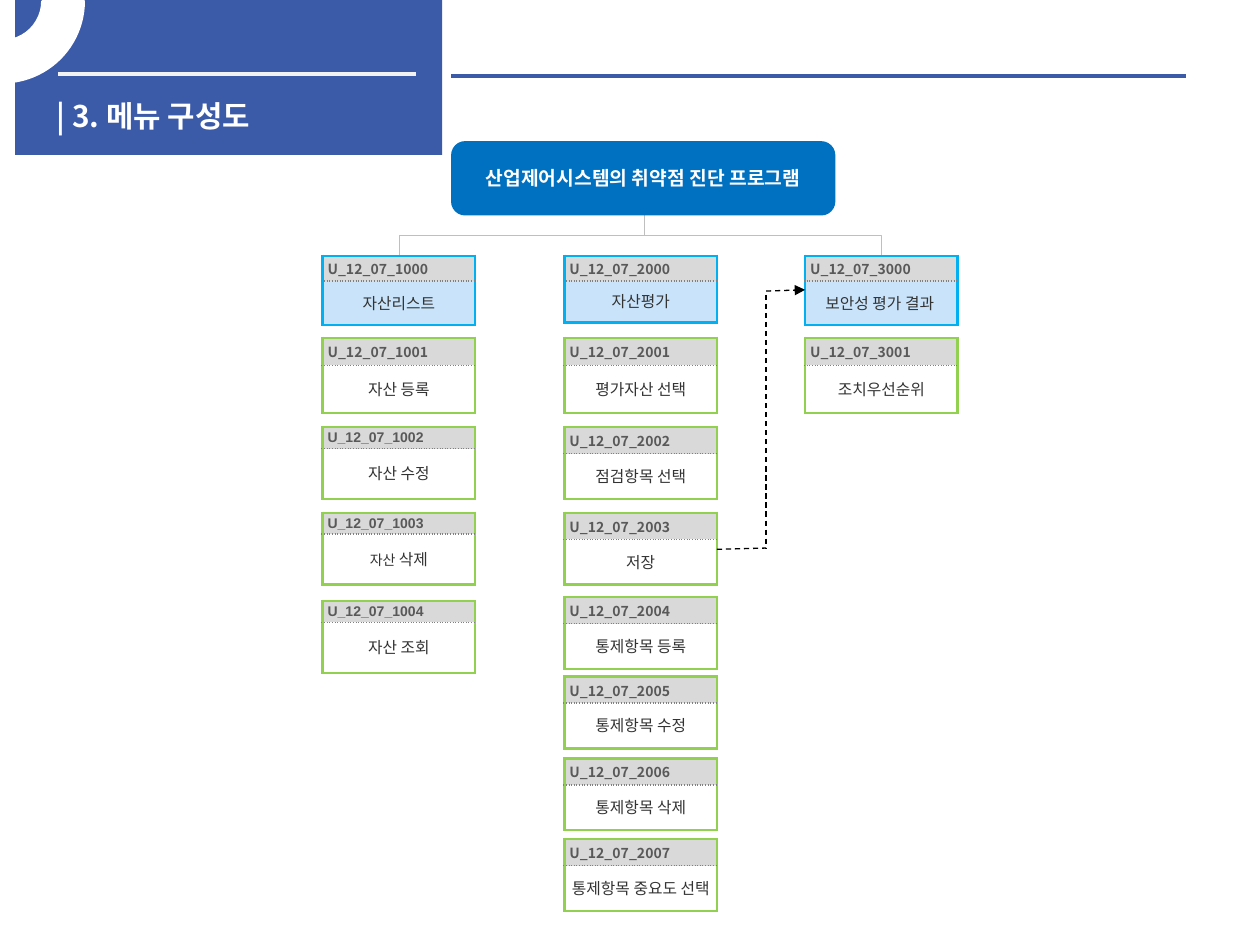
from pptx import Presentation, util as u
from pptx.dml.color import RGBColor
from pptx.enum import dml, shapes, text
from pptx.oxml import parse_xml
from pptx.oxml.ns import nsdecls, qn
from lxml import etree

NAVY = RGBColor(0x3B, 0x5A, 0xA8)
BLUE = RGBColor(0x00, 0x70, 0xC0)
CYAN = RGBColor(0x00, 0xB0, 0xF0)
PALE = RGBColor(0xC9, 0xE4, 0xFA)
GREEN = RGBColor(0x92, 0xD0, 0x50)
WHITE = RGBColor(0xFF, 0xFF, 0xFF)
SMOKE = RGBColor(0xF2, 0xF2, 0xF2)
SILVER = RGBColor(0xD9, 0xD9, 0xD9)
RULE = RGBColor(0xBF, 0xBF, 0xBF)
GREY = RGBColor(0x80, 0x80, 0x80)
SLATE = RGBColor(0x59, 0x59, 0x59)
INK = RGBColor(0x33, 0x33, 0x33)
BLACK = RGBColor(0, 0, 0)

NOTO, ARIAL, KARLA = "Noto Sans CJK KR", "Arial", "Karla"
TITLE = "| 3. 메뉴 구성도"
ROOT = "산업제어시스템의 취약점 진단 프로그램"

# Each menu: first code, column left, body labels as (text, size) runs, header fonts.
MENUS = [
    (1000, 2.56, 0.55, ["자산리스트", "자산 등록", "자산 수정",
                        [("자산 ", 8), ("삭제", 9)], "자산 조회"]),
    (2000, 4.48, 0.53, ["자산평가", "평가자산 선택", "점검항목 선택", "저장",
                        "통제항목 등록", "통제항목 수정", "통제항목 삭제",
                        "통제항목 중요도 선택"]),
    (3000, 6.39, 0.55, ["보안성 평가 결과 ", "조치우선순위"]),
]
TOPS = [2.03, 2.68, 3.39, 4.07, 4.74, 5.37, 6.02, 6.66]
SHIFT = {1004: 0.03}
NARROW = {1002, 1003, 1004}
WIDE = 1.21
TRUNK = (5.11, 1.71)
FORKS = [(3.17, 90), (6.99, 270)]
FLOW = [((5.69, 4.36), (6.08, 4.35)), ((6.08, 2.34), (6.08, 4.35)),
        ((6.08, 2.31), (6.39, 2.3))]


def inch(*vals):
    return [u.Inches(v) for v in vals]


def write(para, words, font, size, color, bold):
    run = para.add_run()
    run.text = words
    run.font.name, run.font.size, run.font.bold = font, u.Pt(size), bold
    run.font.color.rgb = color
    etree.SubElement(run.font._element, qn("a:ea")).set("typeface", NOTO)


def block(slide, kind, box, fill):
    shape = slide.shapes.add_shape(kind, *inch(*box))
    shape.shadow.inherit = False
    shape.fill.solid()
    shape.fill.fore_color.rgb = fill
    shape.line.fill.background()
    return shape


def wire(slide, start, end, color, width, kind=shapes.MSO_CONNECTOR.STRAIGHT):
    line = slide.shapes.add_connector(kind, *inch(*start, *end))
    line.line.color.rgb, line.line.width = color, u.Pt(width)
    etree.SubElement(line._element.spPr, qn("a:effectLst"))
    return line


def edge(cell, side, color, width, dash="solid"):
    cell._tc.get_or_add_tcPr().append(parse_xml(
        f'<a:ln{side} {nsdecls("a")} w="{u.Pt(width)}"><a:solidFill>'
        f'<a:srgbClr val="{color}"/></a:solidFill><a:prstDash val="{dash}"/></a:ln{side}>'))


def card(slide, code, left, top, rows, label, rim, fill):
    grid = slide.shapes.add_table(2, 1, *inch(left, top, WIDE, sum(rows))).table
    grid.first_row = grid.horz_banding = False
    face = ARIAL if code in NARROW else NOTO
    runs = label if isinstance(label, list) else [(label, 9)]
    parts = [([(f"U_12_07_{code}", 8)], face, SLATE, True, SILVER, "B", (0.04, 0, 0.1, 0)),
             (runs, ARIAL, INK, False, fill, "T", (0, 0.05, 0, 0.05))]
    for i, (words, font, color, bold, back, seam, pad) in enumerate(parts):
        grid.rows[i].height = u.Inches(rows[i])
        cell = grid.cell(i, 0)
        for side in "LRTB":
            edge(cell, side, *((GREY, 1, "sysDot") if side == seam else (rim, 1.5)))
        cell.fill.solid()
        cell.fill.fore_color.rgb = back
        cell.vertical_anchor = text.MSO_ANCHOR.MIDDLE
        (cell.margin_left, cell.margin_top,
         cell.margin_right, cell.margin_bottom) = inch(*pad)
        para = cell.text_frame.paragraphs[0]
        if i:
            para.alignment, para.line_spacing = text.PP_ALIGN.CENTER, 0.9
        for part, size in words:
            write(para, part, font, size, color, bold)


def banner(slide):
    block(slide, shapes.MSO_SHAPE.RECTANGLE, (0.12, 0, 3.39, 1.23), NAVY)
    wire(slide, (0.46, 0.59), (3.3, 0.59), SMOKE, 2.25)
    wire(slide, (3.58, 0.6), (9.41, 0.6), NAVY, 2.25)
    head = slide.shapes.title
    head.left, head.top, head.width, head.height = inch(0.35, 0.76, 3.07, 0.32)
    frame = head.text_frame
    frame.vertical_anchor = text.MSO_ANCHOR.MIDDLE
    frame.auto_size = text.MSO_AUTO_SIZE.NONE
    para = frame.paragraphs[0]
    para.alignment = text.PP_ALIGN.LEFT
    write(para, TITLE, NOTO, 17, WHITE, True)
    slide.shapes._spTree.append(head._element)
    arc = block(slide, shapes.MSO_SHAPE.BLOCK_ARC, (-0.63, -0.63, 1.29, 1.28), WHITE)
    for i, val in enumerate((161.59, 0, 0.25)):
        arc.adjustments[i] = val
    arc._element.spPr.xfrm.set("flipV", "1")
    arc.line.color.rgb, arc.line.width = WHITE, u.Pt(2)


def tree(slide):
    for x, turn in FORKS:
        midx, midy = (x + TRUNK[0]) / 2, (TOPS[0] + TRUNK[1]) / 2
        tall, span = (TOPS[0] - TRUNK[1]) / 2, abs(x - TRUNK[0]) / 2
        way = tall if turn == 90 else -tall
        fork = wire(slide, (midx + way, midy + span), (midx - way, midy - span),
                    RULE, 0.25, shapes.MSO_CONNECTOR.ELBOW)
        fork._element.spPr.xfrm.set("rot", str(turn * 60000))
    root = block(slide, shapes.MSO_SHAPE.ROUNDED_RECTANGLE, (3.58, 1.12, 3.05, 0.59), BLUE)
    root.adjustments[0] = 0.19
    root.text_frame.vertical_anchor = text.MSO_ANCHOR.MIDDLE
    root.text_frame.word_wrap = True
    para = root.text_frame.paragraphs[0]
    para.alignment = text.PP_ALIGN.CENTER
    write(para, ROOT, KARLA, 11, WHITE, True)
    for base, left, high, labels in MENUS:
        for i, label in enumerate(labels):
            code = base + i
            tall = (high, 0.6)[i] if i < 2 else 0.57
            cap = 0.17 if code in NARROW else (0.2, 0.22)[i] if i < 2 else 0.21
            rim, fill = (GREEN, WHITE) if i else (CYAN, PALE)
            card(slide, code, left, TOPS[i] + SHIFT.get(code, 0),
                 (cap, tall - cap), label, rim, fill)


def flow(slide):
    for start, end in FLOW:
        line = wire(slide, start, end, BLACK, 0.75)
        line.line.dash_style = dml.MSO_LINE.DASH
    etree.SubElement(line.line._get_or_add_ln(), qn("a:tailEnd")).set("type", "triangle")


def main():
    """Build the menu structure slide."""
    deck = Presentation()
    deck.slide_width, deck.slide_height = inch(10, 7.5)
    slide = deck.slides.add_slide(deck.slide_layouts[5])
    banner(slide)
    tree(slide)
    flow(slide)
    deck.save("out.pptx")


if __name__ == "__main__":
    main()
